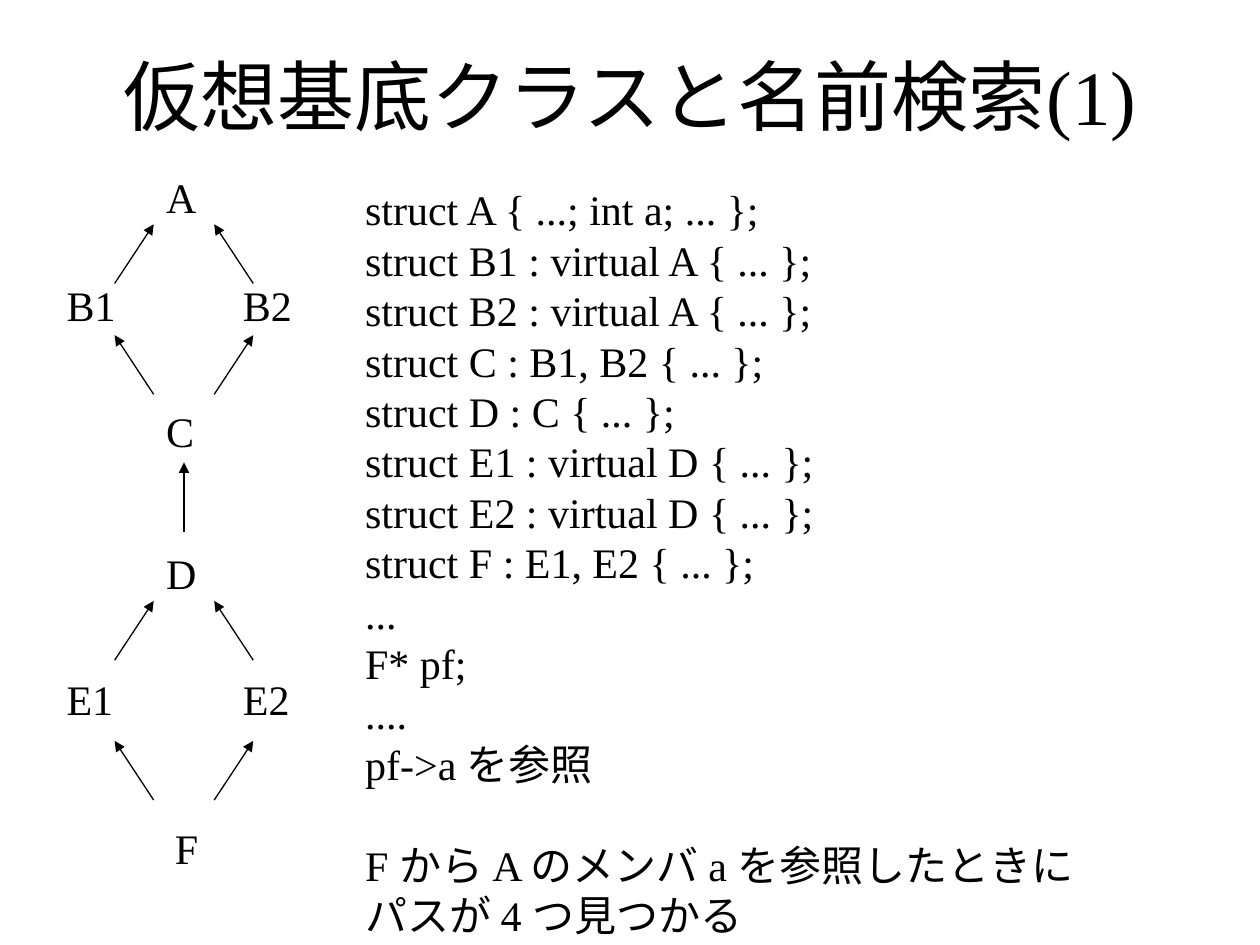
from lxml import etree
from pptx import Presentation
from pptx.dml.color import RGBColor
from pptx.enum import shapes, text
from pptx.oxml.ns import qn
from pptx.util import Inches, Pt

FONT = "Times New Roman"
BLACK = "000000"
LINE_PT = 28.8
CODE = [
    "struct A { ...; int a; ... };",
    "struct B1 : virtual A { ... };",
    "struct B2 : virtual A { ... };",
    "struct C : B1, B2 { ... };",
    "struct D : C { ... };",
    "struct E1 : virtual D { ... };",
    "struct E2 : virtual D { ... };",
    "struct F : E1, E2 { ... };",
    "...",
    "F* pf;",
    "....",
    "pf->a を参照",
]
REMARK = ["F から A のメンバ a を参照したときに", "パスが 4 つ見つかる"]


def color(value):
    return RGBColor.from_string(value)


def add_text(s, box, lines, size=24, line_pt=LINE_PT):
    tf = s.shapes.add_textbox(*map(Inches, box)).text_frame
    tf.word_wrap = True
    for i, line in enumerate(lines):
        p = tf.paragraphs[0] if i == 0 else tf.add_paragraph()
        if line_pt:
            p.line_spacing = Pt(line_pt)
        r = p.add_run()
        r.text = line
        r.font.name, r.font.size = FONT, Pt(size)
        r.font.color.rgb = color(BLACK)
    return tf


def add_arrow(s, start, end):
    c = s.shapes.add_connector(shapes.MSO_CONNECTOR.STRAIGHT,
                               *map(Inches, (*start, *end)))
    c.line.color.rgb = color(BLACK)
    c.line.width = Pt(0.75)
    etree.SubElement(c.line._get_or_add_ln(), qn("a:tailEnd"), type="triangle")
    etree.SubElement(c._element.spPr, qn("a:effectLst"))


def add_title(s, box):
    tf = add_text(s, box, ["仮想基底クラスと名前検索(1)"], 44, None)
    tf.vertical_anchor = text.MSO_ANCHOR.MIDDLE
    tf.paragraphs[0].alignment = text.PP_ALIGN.CENTER


def add_diamond(s, left, top, names, middle, bottom, bottom_x=0.79):
    """Base, two derived classes, and the class that joins them."""
    base, first, second, join = names
    for name, x, y in ((base, 0.79, 0), (first, 0, middle),
                       (second, 1.4, middle), (join, bottom_x, bottom)):
        add_text(s, (left + x, top + y, 0.8, 0.5), [name])

    # Arrows mirrored about the diamond's axis
    axis, inner, outer, rise = left + 1.03, 0.24, 0.55, 0.47
    upper = top + 0.47
    lower = top + middle + (bottom - middle) / 2 - 0.02 + 0.01
    for side in (-1, 1):
        near, far = axis + side * inner, axis + side * outer
        add_arrow(s, (far, upper + rise), (near, upper))
        add_arrow(s, (near, lower + rise), (far, lower))


def add_hierarchy(s, left, top):
    add_diamond(s, left, top, ("A", "B1", "B2", "C"), 0.86, 1.86)
    add_diamond(s, left, top + 2.99, ("D", "E1", "E2", "F"), 1, 2.18, 0.86)
    # D derives from C
    add_arrow(s, (left + 1.03, top + 2.91), (left + 1.03, top + 2.36))


def add_code(s, box):
    tf = add_text(s, box, CODE + REMARK)
    # One line of space separates the remark from the code
    tf.paragraphs[len(CODE)].space_before = Pt(LINE_PT)


def main():
    prs = Presentation()
    prs.slide_width, prs.slide_height = Inches(10), Inches(7.5)
    s = prs.slides.add_slide(prs.slide_layouts[6])
    add_title(s, (0.75, 0.13, 8.5, 1.25))
    add_hierarchy(s, 0.43, 1.31)
    add_code(s, (2.8, 1.41, 6.6, 6.1))
    prs.save("out.pptx")


if __name__ == "__main__":
    main()
